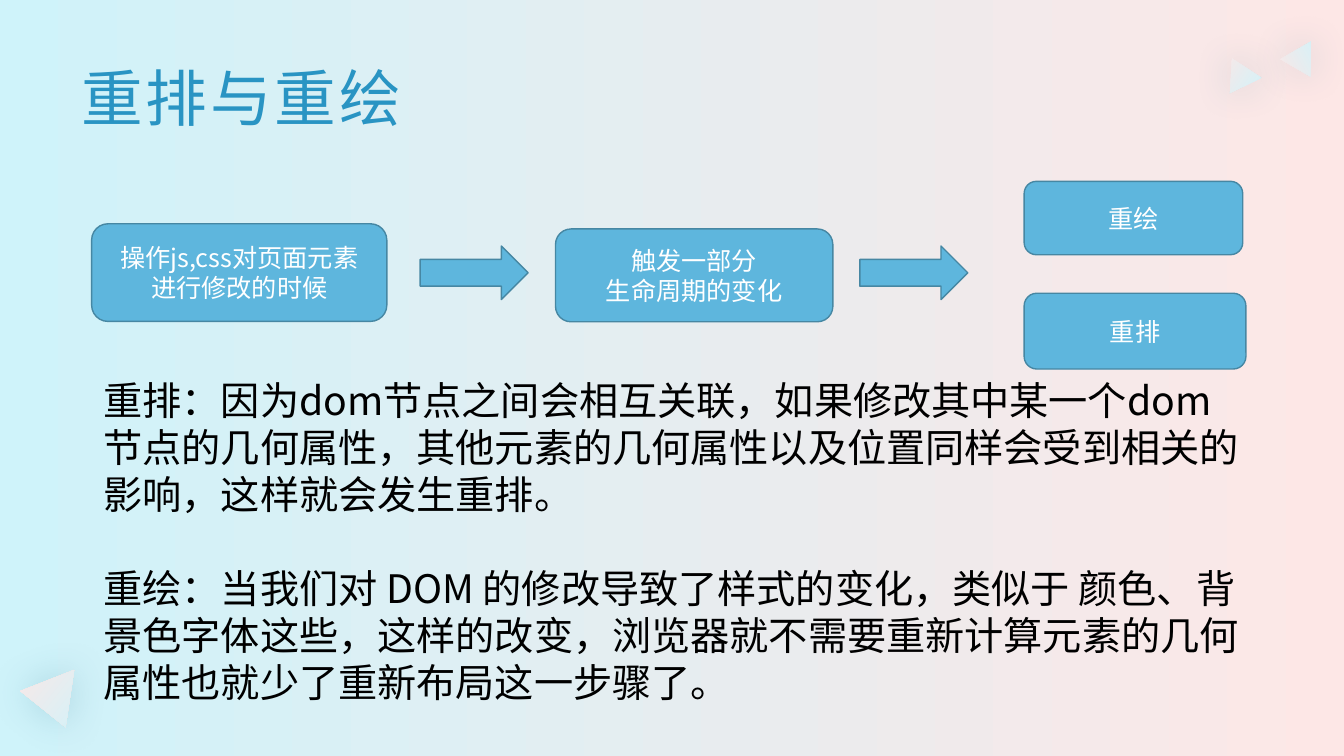
from dataclasses import dataclass

from lxml.etree import SubElement
from pptx import Presentation
from pptx.dml.color import RGBColor
from pptx.dml.fill import FillFormat
from pptx.enum.shapes import MSO_SHAPE
from pptx.enum.text import MSO_ANCHOR, PP_ALIGN
from pptx.oxml.ns import qn
from pptx.shapes.autoshape import Shape
from pptx.slide import Slide
from pptx.text.text import TextFrame
from pptx.util import Cm, Pt

FONT = "Noto Sans CJK SC"
COLOURS = {
    "cyan": "CFF3FA",
    "pink": "FDE7E6",
    "shadow": "1B6382",
    "title": "2994C3",
    "fill": "5EB6DD",
    "outline": "4687A3",
    "white": "FFFFFF",
    "black": "000000",
}


@dataclass(frozen=True)
class Area:
    """A place on the slide, in centimetres."""

    left: float
    top: float
    width: float
    height: float

    def lengths(self) -> tuple[Cm, Cm, Cm, Cm]:
        """Give the four lengths that shapes need."""
        return Cm(self.left), Cm(self.top), Cm(self.width), Cm(self.height)


@dataclass(frozen=True)
class Triangle:
    """A decorative triangle with its rotation and gradient angle."""

    area: Area
    rotation: float
    gradient_angle: float


@dataclass(frozen=True)
class FlowShape:
    """A box or an arrow of the flow."""

    area: Area
    kind: MSO_SHAPE = MSO_SHAPE.ROUNDED_RECTANGLE
    text: str = ""


TRIANGLES = [
    Triangle(Area(0.74, 16.74, 1.47, 1.27), 38.6, 0),
    Triangle(Area(30.76, 1.65, 0.89, 0.76), 213.6, 180),
    Triangle(Area(32.39, 1.22, 0.89, 0.76), 150.2, 180),
]
FLOW = [
    FlowShape(Area(2.31, 5.64, 7.44, 2.46), text="操作js,css对页面元素\n进行修改的时候"),
    FlowShape(Area(10.59, 6.2, 2.72, 1.35), MSO_SHAPE.RIGHT_ARROW),
    FlowShape(Area(14, 5.77, 6.99, 2.34), text="触发一部分\n生命周期的变化"),
    FlowShape(Area(21.67, 6.2, 2.72, 1.35), MSO_SHAPE.RIGHT_ARROW),
    FlowShape(Area(25.81, 4.57, 5.51, 1.85), text="重绘"),
    FlowShape(Area(25.81, 7.39, 5.59, 1.91), text="重排"),
]
EXPLANATION = (
    "重排：因为dom节点之间会相互关联，如果修改其中某一个dom节点的几何属性，"
    "其他元素的几何属性以及位置同样会受到相关的影响，这样就会发生重排。\n"
    "重绘：当我们对 DOM 的修改导致了样式的变化，类似于 颜色、背景色字体这些，"
    "这样的改变，浏览器就不需要重新计算元素的几何属性也就少了重新布局这一步骤了。"
)


def colour(name: str) -> RGBColor:
    """Look up a colour by name."""
    return RGBColor.from_string(COLOURS[name])


def write(
    frame: TextFrame,
    text: str,
    *,
    size: float,
    ink: str,
    align: PP_ALIGN = PP_ALIGN.LEFT,
    anchor: MSO_ANCHOR = MSO_ANCHOR.MIDDLE,
    line_spacing: float | Pt = 1.0,
    gap: float = 0,
    tracking: float = 0,
) -> None:
    """Write one paragraph for each line of the text."""
    frame.word_wrap = True
    frame.vertical_anchor = anchor
    for index, line in enumerate(text.split("\n")):
        para = frame.paragraphs[0] if index == 0 else frame.add_paragraph()
        para.alignment = align
        para.line_spacing = line_spacing
        if index and gap:
            para.space_before = Pt(gap)
        span = para.add_run()
        span.text = line
        span.font.size = Pt(size)
        span.font.color.rgb = colour(ink)
        span.font.name = FONT
        properties = span.font._element
        SubElement(properties, qn("a:ea"), typeface=FONT)
        if tracking:
            properties.set("spc", str(round(tracking * 100)))


def blend(fill: FillFormat, first: str, last: str, angle: float) -> None:
    """Apply a two-colour linear gradient."""
    fill.gradient()
    fill.gradient_angle = angle
    for stop, name, position in zip(fill.gradient_stops, (first, last), (0, 1)):
        stop.color.rgb = colour(name)
        stop.position = position


def add_glow(shape: Shape) -> None:
    """Give a shape a soft shadow on all sides."""
    shape.shadow.inherit = False
    effects = shape.element.spPr.find(qn("a:effectLst"))
    shadow = SubElement(
        effects, qn("a:outerShdw"), blurRad=str(Pt(27)), dist="0", dir="0"
    )
    tint = SubElement(shadow, qn("a:srgbClr"), val=COLOURS["shadow"])
    SubElement(tint, qn("a:alpha"), val="20000")


def draw_triangle(page: Slide, triangle: Triangle) -> None:
    """Draw one decorative triangle."""
    shape = page.shapes.add_shape(
        MSO_SHAPE.ISOSCELES_TRIANGLE, *triangle.area.lengths()
    )
    shape.rotation = triangle.rotation
    blend(shape.fill, "pink", "cyan", triangle.gradient_angle)
    shape.line.fill.background()
    add_glow(shape)


def draw_flow_shape(page: Slide, item: FlowShape) -> None:
    """Draw one box or arrow of the flow."""
    shape = page.shapes.add_shape(item.kind, *item.area.lengths())
    shape.shadow.inherit = False
    shape.fill.solid()
    shape.fill.fore_color.rgb = colour("fill")
    shape.line.color.rgb = colour("outline")
    shape.line.width = Pt(1)
    if item.text:
        write(
            shape.text_frame, item.text, size=18, ink="white",
            align=PP_ALIGN.CENTER, line_spacing=Pt(21.6),
        )


def main() -> None:
    """Build the slide and save it."""
    deck = Presentation()
    deck.slide_width, deck.slide_height = Cm(33.87), Cm(19.05)
    page = deck.slides.add_slide(deck.slide_layouts[5])
    blend(page.background.fill, "cyan", "pink", 0)

    for triangle in TRIANGLES:
        draw_triangle(page, triangle)

    title = page.shapes.title
    title.left, title.top, title.width, title.height = Area(
        1.8, 0.71, 29.21, 3.68
    ).lengths()
    write(
        title.text_frame, "重排与重绘", size=44, ink="title",
        line_spacing=0.9, tracking=2,
    )

    for item in FLOW:
        draw_flow_shape(page, item)

    box = page.shapes.add_textbox(*Area(2.36, 9.35, 29.16, 8.64).lengths())
    write(
        box.text_frame, EXPLANATION, size=28, ink="black",
        anchor=MSO_ANCHOR.TOP, line_spacing=Pt(33.6), gap=33.6,
    )
    deck.save("out.pptx")


if __name__ == "__main__":
    main()
